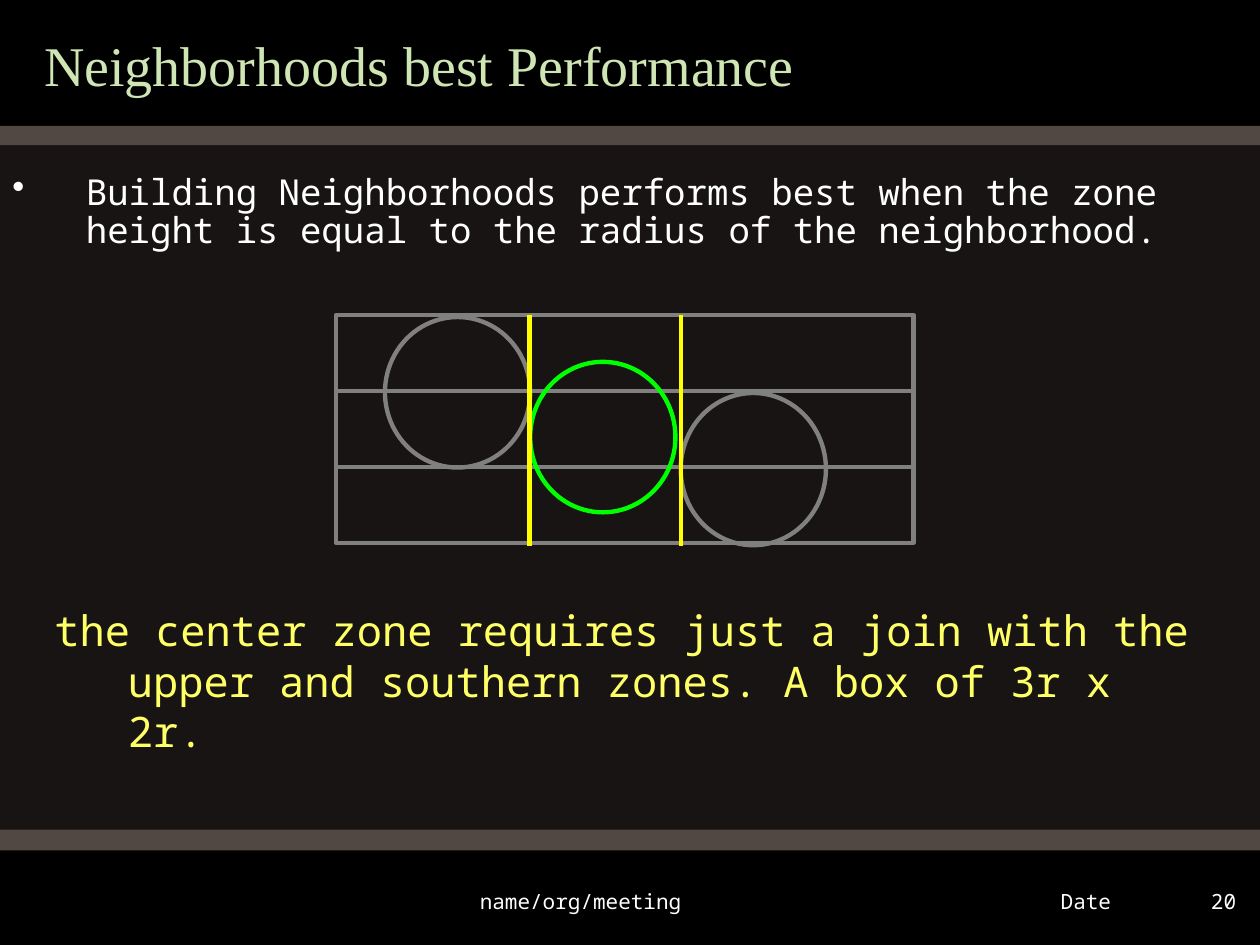
from pptx import Presentation
from pptx.dml.color import RGBColor
from pptx.enum import shapes, text
from pptx.oxml import ns, xmlchemy
from pptx.util import Pt

BACKGROUND = RGBColor(0x17, 0x14, 0x13)
BLACK = RGBColor(0, 0, 0)
BROWN = RGBColor(0x51, 0x48, 0x43)
WHITE = RGBColor(0xFF, 0xFF, 0xFF)
TITLE_GREEN = RGBColor(0xCF, 0xE5, 0xB3)
NOTE_YELLOW = RGBColor(0xFF, 0xFF, 0x66)
GRAY = RGBColor(0x80, 0x80, 0x80)
GREEN = RGBColor(0, 0xFF, 0)
YELLOW = RGBColor(0xFF, 0xFF, 0)
MONO = "Noto Sans Mono"
LEFT, CENTER, RIGHT = text.PP_ALIGN.LEFT, text.PP_ALIGN.CENTER, text.PP_ALIGN.RIGHT


def write(box, words, *, at, size, color=WHITE, font=MONO, align=LEFT,
          spacing=1.0, hanging=0, bullet=None):
    """Place a text box or placeholder and fill it with one paragraph."""
    box.left, box.top, box.width, box.height = map(Pt, at)
    frame = box.text_frame
    frame.word_wrap = True
    frame.auto_size = text.MSO_AUTO_SIZE.NONE
    frame.vertical_anchor = text.MSO_ANCHOR.TOP
    para = frame.paragraphs[0]
    para.alignment = align
    para.line_spacing = spacing
    para.space_before = Pt(0)
    properties = para._p.get_or_add_pPr()
    if hanging:
        properties.set("marL", str(Pt(hanging)))
        properties.set("indent", str(-Pt(hanging)))
    if bullet:
        mark = xmlchemy.OxmlElement("a:buChar")
        mark.set("char", bullet)
        properties.append(mark)
    span = para.add_run()
    span.text = words
    span.font.name, span.font.size = font, Pt(size)
    span.font.color.rgb = color


def add_shape(parent, kind, at, fill=None, line=None):
    """Add a preset shape that has either a fill or an outline."""
    shape = parent.shapes.add_shape(kind, *map(Pt, at))
    shape.shadow.inherit = False
    if fill is None:
        shape.fill.background()
    else:
        shape.fill.solid()
        shape.fill.fore_color.rgb = fill
    if line is None:
        shape.line.fill.background()
    else:
        shape.line.color.rgb = line
        shape.line.width = Pt(2.5)


deck = Presentation()
deck.slide_width, deck.slide_height = Pt(720), Pt(540)
page = deck.slides.add_slide(deck.slide_layouts[5])
page.background.fill.solid()
page.background.fill.fore_color.rgb = BACKGROUND

RECTANGLE, OVAL = shapes.MSO_SHAPE.RECTANGLE, shapes.MSO_SHAPE.OVAL

# Header and footer bands
for top, height, color in [(479.5, 60.5, BLACK), (0, 78, BLACK),
                           (72, 11, BROWN), (474, 12, BROWN)]:
    add_shape(page, RECTANGLE, (0, top, 720, height), fill=color)

# Title, brought in front of the bands
title = page.shapes.title
page.shapes._spTree.append(title._element)
write(title, "Neighborhoods best Performance", at=(18, 21, 522, 69),
      size=32, color=TITLE_GREEN, font="Times New Roman", spacing=0.8)

# Body text
write(page.shapes.add_textbox(0, 0, 0, 0),
      "Building Neighborhoods performs best when the zone height is equal "
      "to the radius of the neighborhood.",
      at=(0, 96, 720, 60), size=20.4, spacing=0.9, hanging=42, bullet="•")
write(page.shapes.add_textbox(0, 0, 0, 0),
      "the center zone requires just a join with the upper and southern "
      "zones. A box of 3r x 2r.",
      at=(24, 342, 666, 114), size=24, color=NOTE_YELLOW, hanging=42)

# Zone diagram: three stacked zones, neighborhoods, limits of the center one
diagram = page.shapes.add_group_shape()
ZONE_TOP, ZONE_HEIGHT = 180, 43.4
for row in range(3):
    add_shape(diagram, RECTANGLE,
              (192, ZONE_TOP + row * ZONE_HEIGHT, 330, ZONE_HEIGHT), line=GRAY)

for left, top, height, color in [(220, 181.2, 86, GRAY), (389, 224.6, 87, GRAY),
                                 (303, 206.8, 86, GREEN)]:
    add_shape(diagram, OVAL, (left, top, 83, height), line=color)

for x in (389, 302.6):
    limit = diagram.shapes.add_connector(
        shapes.MSO_CONNECTOR.STRAIGHT, Pt(x), Pt(ZONE_TOP), Pt(x), Pt(312))
    limit.line.color.rgb = YELLOW
    limit.line.width = Pt(2.5)
    limit._element.find(ns.qn("p:spPr")).append(xmlchemy.OxmlElement("a:effectLst"))

# Footer
for words, left, width, align in [("name/org/meeting", 150, 363.5, CENTER),
                                  ("20", 660, 53.5, RIGHT),
                                  ("Date", 516, 126, RIGHT)]:
    write(page.shapes.add_textbox(0, 0, 0, 0), words,
          at=(left, 504, width, 24), size=12, align=align)

deck.save("out.pptx")
